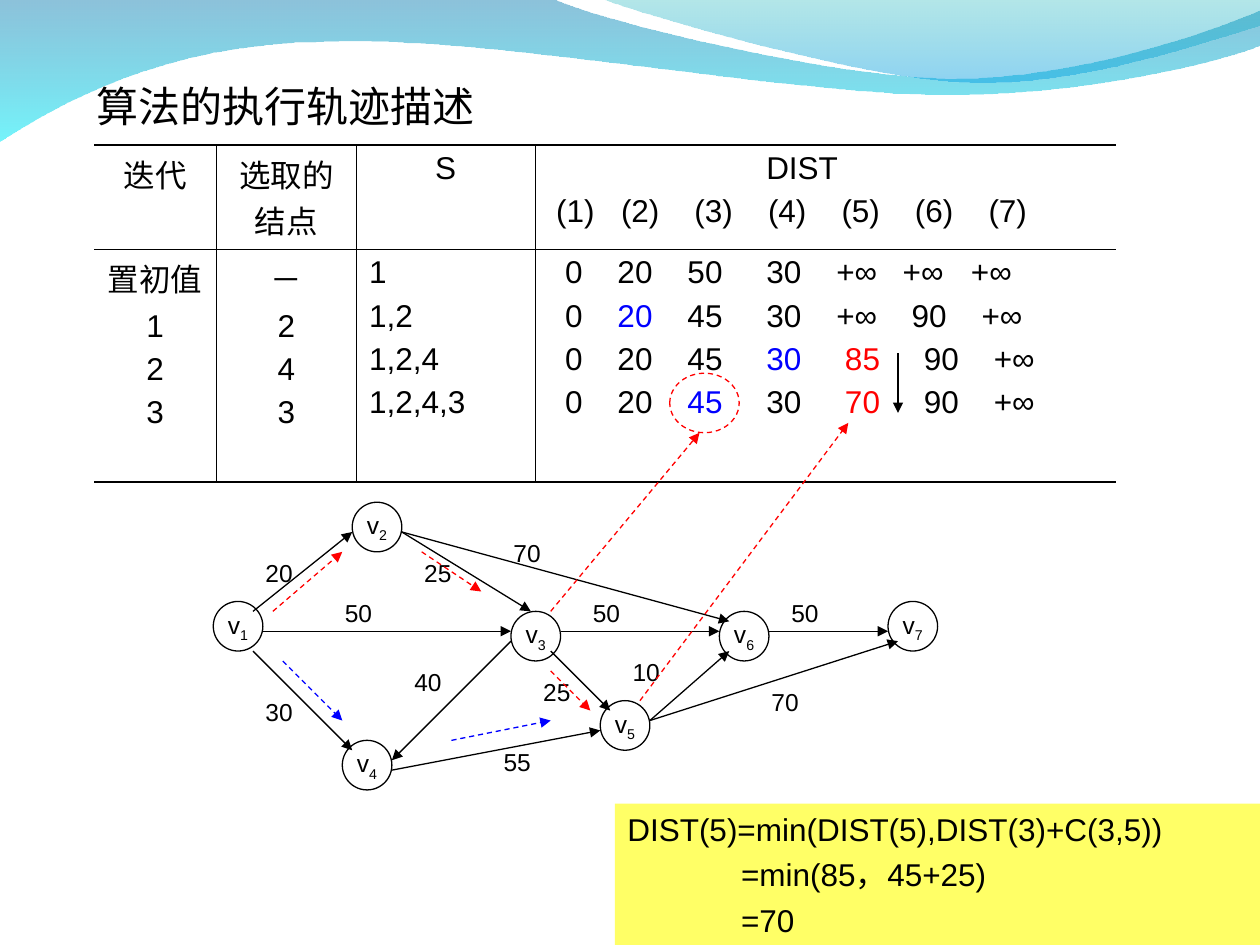
from typing import NamedTuple

from lxml.etree import SubElement
from pptx import Presentation
from pptx.dml.color import RGBColor
from pptx.enum.dml import MSO_LINE_DASH_STYLE as DASH
from pptx.enum.shapes import MSO_CONNECTOR as CONN, MSO_SHAPE as SHAPE
from pptx.enum.text import MSO_ANCHOR as ANCHOR, PP_ALIGN as ALIGN
from pptx.oxml.ns import qn
from pptx.util import Pt

BLACK = RGBColor(0x00, 0x00, 0x00)
RED = RGBColor(0xFF, 0x00, 0x00)
BLUE = RGBColor(0x00, 0x00, 0xFF)
YELLOW = RGBColor(0xFF, 0xFF, 0x66)
DEEP_BLUE = RGBColor(0x00, 0x79, 0xAF)
AQUA = RGBColor(0x00, 0xEB, 0xF8)
TEAL = RGBColor(0x00, 0xAD, 0xB6)
SKY = RGBColor(0x00, 0x9B, 0xE5)

GRID, LEFT, TOP = 5.67, 121.9, 287
NODE = 5 * GRID
THIN, THICK = 0.45, 1.08


class Run(NamedTuple):
    text: str
    color: RGBColor = BLACK
    sub: bool = False


class Line(NamedTuple):
    runs: list[Run]
    tabs: tuple[int, ...] = ()
    indent: float = 0


class Node(NamedTuple):
    number: str
    col: int
    row: int


class Arrow(NamedTuple):
    x1: int
    y1: int
    x2: int
    y2: int
    color: RGBColor = BLACK


class Weight(NamedTuple):
    text: str
    col: int
    row: int


class Wave(NamedTuple):
    start: tuple[float, float]
    segments: list[tuple[tuple[float, float], ...]]
    stops: list[tuple[RGBColor, int]]


WAVES = [
    Wave((0, 0), [
        ((316.8, 0),),
        ((342.7, 12.2), (478, 45.4), (545.8, 45.4)),
        ((614.2, 45.4), (689.8, 18.7), (720, 6.5)),
        ((720, 25.9),),
        ((707.8, 31.7), (626.4, 54.7), (537.1, 54)),
        ((447.8, 54), (275, 20.2), (185, 24.5)),
        ((92.9, 25.2), (33.1, 59.8), (0, 81.4)),
    ], [(DEEP_BLUE, 45), (AQUA, 55)]),
    Wave((344.9, 0), [
        ((366.5, 7.9), (491, 44.6), (553.7, 46.8)),
        ((616.3, 49.7), (691.9, 23), (720, 15.1)),
        ((720, 0),),
    ], [(TEAL, 30), (SKY, 45)]),
]

NODES = [
    Node("1", 0, 10), Node("2", 14, 0), Node("4", 13, 24), Node("3", 30, 11),
    Node("5", 39, 20), Node("6", 51, 11), Node("7", 68, 10),
]
EDGES = [
    Arrow(4, 11, 14, 3), Arrow(4, 15, 14, 25), Arrow(5, 13, 30, 13),
    Arrow(19, 3, 32, 11), Arrow(30, 14, 18, 26), Arrow(18, 27, 39, 23),
    Arrow(35, 13, 51, 13), Arrow(44, 22, 52, 15), Arrow(56, 13, 68, 13),
    Arrow(44, 22, 69, 14), Arrow(19, 3, 52, 12), Arrow(34, 15, 40, 21),
    Arrow(69, -15, 69, -9),
]
TRACES = [
    Arrow(34, 11, 49, -7, RED), Arrow(43, 20, 64, -8, RED),
    Arrow(6, 11, 13, 5, RED), Arrow(21, 5, 27, 9, RED),
    Arrow(34, 17, 38, 21, RED), Arrow(7, 16, 13, 22, BLUE),
    Arrow(24, 24, 34, 22, BLUE),
]
WEIGHTS = [
    Weight("20", 4, 5), Weight("50", 12, 9), Weight("25", 20, 5),
    Weight("70", 29, 3), Weight("50", 57, 9), Weight("70", 55, 18),
    Weight("10", 41, 15), Weight("50", 37, 9), Weight("55", 28, 24),
    Weight("40", 19, 16), Weight("30", 4, 19), Weight("25", 32, 17),
]


def plain(*texts: str) -> list[Line]:
    return [Line([Run(t)]) for t in texts]


COLS, ROWS = (69.8, 80.2, 101.9, 331.9), (59.5, 133.2)
LATE_TABS = (10, 40, 80, 125, 170, 215, 255)
CELLS = [
    [plain("迭代"), plain("选取的结点"), plain("S"), [
        Line([Run("\tDIST")], (125,)),
        Line([Run("\t(1)\t(2)\t(3)\t(4)\t(5)\t(6)\t(7)")], (5, 42, 84, 126, 168, 210, 252)),
    ]],
    [plain("置初值", "1", "2", "3"), plain("－", "2", "4", "3"),
     plain("1", "1,2", "1,2,4", "1,2,4,3"), [
        Line([Run("\t0\t20\t50\t30\t+∞\t+∞\t+∞")], (10, 40, 80, 125, 165, 203, 242)),
        Line([Run("\t0\t"), Run("20", BLUE), Run("\t45\t30\t+∞\t90\t+∞")],
             (10, 40, 80, 125, 165, 208, 248)),
        Line([Run("\t0\t20\t45\t"), Run("30\t", BLUE), Run("85", RED),
              Run("\t90\t+∞")], LATE_TABS),
        Line([Run("\t0\t20\t"), Run("45", BLUE), Run("\t30\t"), Run("70", RED),
              Run("\t90\t+∞")], LATE_TABS),
    ]],
]


def at(col: float, row: float) -> tuple[Pt, Pt]:
    return Pt(LEFT + col * GRID), Pt(TOP + row * GRID)


def write(tf, lines: list[Line], size: float, align=ALIGN.LEFT, font: str = "Arial") -> None:
    for i, line in enumerate(lines):
        p = tf.add_paragraph() if i else tf.paragraphs[0]
        p.alignment = align
        if i:
            p.space_before = Pt(4.5)
        pPr = p._p.get_or_add_pPr()
        if line.indent:
            pPr.set("marL", str(Pt(line.indent)))
        if line.tabs:
            tabs = SubElement(pPr, qn("a:tabLst"))
            for pos in line.tabs:
                SubElement(tabs, qn("a:tab"), pos=str(Pt(pos)), algn="l")
        for run in line.runs:
            r = p.add_run()
            r.text = run.text
            r.font.size, r.font.name = Pt(size), font
            r.font.color.rgb = run.color
            if run.sub:
                r.font._element.set("baseline", "-25000")


def add_text(s, x, y, w, h, lines: list[Line], size: float, font: str = "Arial"):
    sp = s.shapes.add_textbox(x, y, w, h)
    sp.text_frame.word_wrap = True
    write(sp.text_frame, lines, size, font=font)
    return sp


def add_wave(s, wave: Wave) -> None:
    fb = s.shapes.build_freeform(*wave.start, scale=Pt(1) / 1.0)
    fb.add_line_segments([pt for seg in wave.segments for pt in seg], close=True)
    sp = fb.convert_to_shape()
    steps = iter(list(sp._element.spPr.iter(qn("a:lnTo"))))
    for seg in wave.segments:
        first, *others = [next(steps) for _ in seg]
        if others:
            first.tag = qn("a:cubicBezTo")
            for step in others:
                first.append(step[0])
                step.getparent().remove(step)
    sp.shadow.inherit = False
    sp.line.fill.background()
    sp.fill.gradient()
    sp.fill.gradient_angle = 270
    for stop, (color, _) in zip(sp.fill.gradient_stops, wave.stops):
        stop.color.rgb = color
    for clr, (_, alpha) in zip(sp._element.spPr.iter(qn("a:srgbClr")), wave.stops):
        SubElement(clr, qn("a:alpha"), val=str(alpha * 1000))


def add_ring(s, x, y, w, h, color: RGBColor = BLACK):
    sp = s.shapes.add_shape(SHAPE.OVAL, x, y, w, h)
    sp.shadow.inherit = False
    sp.fill.background()
    sp.line.color.rgb, sp.line.width = color, Pt(0.75)
    return sp


def add_node(s, node: Node) -> None:
    tf = add_ring(s, *at(node.col, node.row), Pt(NODE), Pt(NODE)).text_frame
    tf.word_wrap, tf.vertical_anchor = False, ANCHOR.MIDDLE
    write(tf, [Line([Run("v"), Run(node.number, sub=True)])], 14, ALIGN.CENTER)


def add_arrow(s, a: Arrow, dashed: bool = False) -> None:
    cx = s.shapes.add_connector(CONN.STRAIGHT, *at(a.x1, a.y1), *at(a.x2, a.y2))
    cx.line.color.rgb, cx.line.width = a.color, Pt(0.75)
    if dashed:
        cx.line.dash_style = DASH.DASH
    SubElement(cx.line._get_or_add_ln(), qn("a:tailEnd"), type="triangle")
    SubElement(cx._element.spPr, qn("a:effectLst"))


def add_border(tcPr, side: str, width: float) -> None:
    ln = SubElement(tcPr, qn(f"a:ln{side}"), w=str(Pt(width)))
    if width:
        SubElement(SubElement(ln, qn("a:solidFill")), qn("a:srgbClr"), val=str(BLACK))
    else:
        SubElement(ln, qn("a:noFill"))


def add_trace_table(s) -> None:
    table = s.shapes.add_table(len(ROWS), len(COLS), Pt(53.8), Pt(82.8),
                               Pt(sum(COLS)), Pt(sum(ROWS))).table
    table.first_row = table.horz_banding = False
    for c, width in enumerate(COLS):
        table.columns[c].width = Pt(width)
    for r, height in enumerate(ROWS):
        table.rows[r].height = Pt(height)
        for c, lines in enumerate(CELLS[r]):
            cell = table.cell(r, c)
            centred = c < 2 or (r == 0 and c == 2)
            write(cell.text_frame, lines, 18, ALIGN.CENTER if centred else ALIGN.LEFT)
            widths = {"L": THIN if c else 0, "R": THIN if c < len(COLS) - 1 else 0,
                      "T": THIN if r else THICK, "B": THICK if r else THIN}
            for side, width in widths.items():
                add_border(cell._tc.get_or_add_tcPr(), side, width)
            cell.fill.background()


def main() -> None:
    """Build the shortest-path execution trace slide."""
    prs = Presentation()
    prs.slide_width, prs.slide_height = Pt(720), Pt(540)
    s = prs.slides.add_slide(prs.slide_layouts[6])
    for wave in WAVES:
        add_wave(s, wave)
    add_text(s, Pt(48.2), Pt(42.5), Pt(318.2), Pt(36),
             plain("算法的执行轨迹描述"), 24, "TeX Gyre Pagella")
    add_trace_table(s)
    for node in NODES:
        add_node(s, node)
    for edge in EDGES:
        add_arrow(s, edge)
    for weight in WEIGHTS:
        add_text(s, *at(weight.col, weight.row), Pt(34), Pt(24.2), plain(weight.text), 14)
    ring = add_ring(s, *at(46, -13), Pt(7 * GRID), Pt(6 * GRID), RED)
    ring.line.dash_style = DASH.DASH
    for trace in TRACES:
        add_arrow(s, trace, dashed=True)
    formula = [Line([Run("DIST(5)=min(DIST(5),DIST(3)+C(3,5))")]),
               Line([Run("=min(85，45+25)")], indent=65), Line([Run("=70")], indent=65)]
    box = add_text(s, Pt(351.4), Pt(459.2), Pt(368.6), Pt(80.8), formula, 18)
    box.fill.solid()
    box.fill.fore_color.rgb = YELLOW
    prs.save("out.pptx")


if __name__ == "__main__":
    main()
